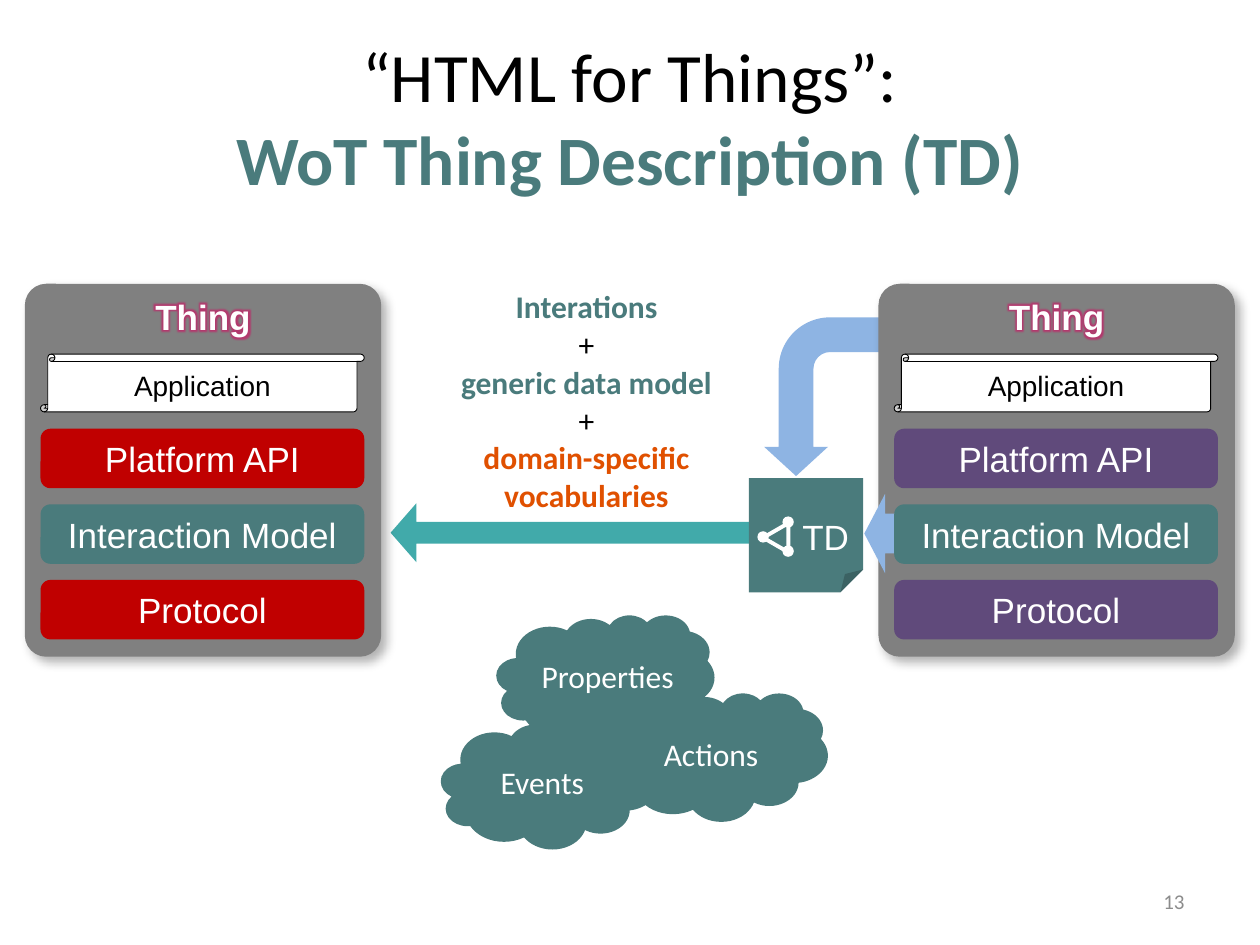
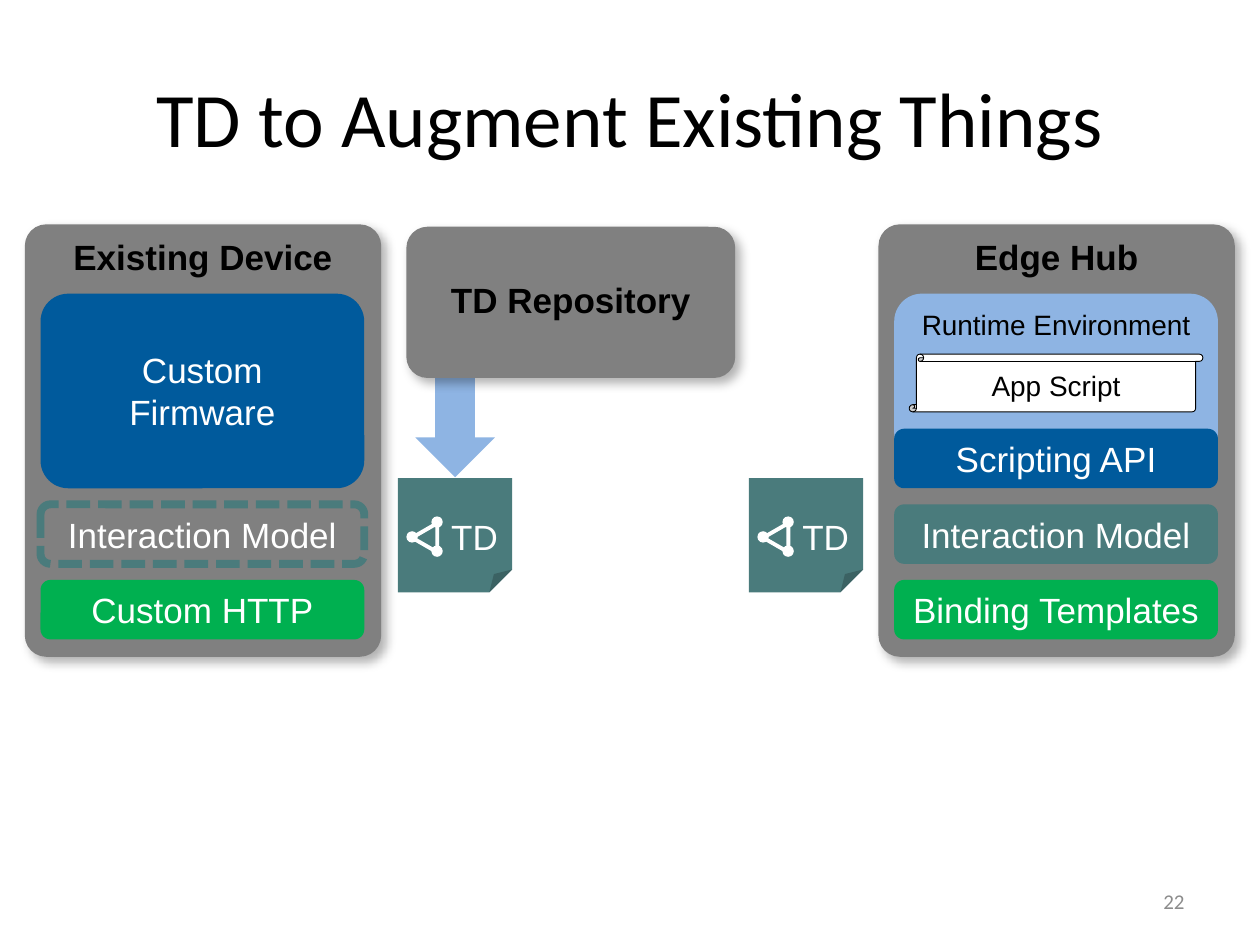
import dataclasses

import lxml.etree
import pptx
import pptx.dml.color
import pptx.enum.dml
import pptx.enum.shapes
import pptx.enum.text
import pptx.oxml.ns
import pptx.util

Pt = pptx.util.Pt
SHAPE = pptx.enum.shapes.MSO_SHAPE
ALIGN = pptx.enum.text.PP_ALIGN
ANCHOR = pptx.enum.text.MSO_ANCHOR

COLORS = {
    "black": "000000", "white": "FFFFFF", "gray": "808080", "number": "8C8C8C",
    "teal": "4A7B7C", "turquoise": "41AAAA", "sky": "8EB4E3", "red": "C00000",
    "purple": "604A7B", "green": "00B050", "blue": "005A9C", "orange": "E05000",
    "glow": "C0286A",
}

# Shared geometry of the two device columns
LEFT_DEVICE, RIGHT_DEVICE, DEVICE_WIDTH = 14.2, 502, 203.6
DEVICE_BOTTOM = 375.3
LAYER_INSET, LAYER_WIDTH, LAYER_HEIGHT = 9, 185, 34
LAYER_TOP, LAYER_STEP = 245, 43.2
SCROLL_TOP, SCROLL_HEIGHT = 202.4, 33
CARD_TOP, CARD_SIZE = 273.2, 65.3
CARD_LEFT, CARD_RIGHT = 227.4, 428
DEFAULT_INSETS = (7.2, 3.6, 7.2, 3.6)
DEVICE_INSETS = (7.2, 2.9, 7.2, 5.8)


@dataclasses.dataclass(frozen=True)
class Style:
    size: float
    font: str = "Arial"
    color: str = "white"
    bold: bool = False
    glow: bool = False


LABEL = Style(20)
SCRIPT = Style(16, color="black")
DEVICE_NAME = Style(20, color="black", bold=True)
THING_NAME = Style(20, bold=True, glow=True)
CLOUD = Style(18, "Calibri")
TITLE = Style(44, "Calibri", "black")


def rgb(name):
    return pptx.dml.color.RGBColor.from_string(COLORS[name])


def effect_list(effect, color, opacity, **attributes):
    """Effect list holding one glow or shadow; lengths are in EMU."""
    effects = lxml.etree.Element(pptx.oxml.ns.qn("a:effectLst"))
    node = lxml.etree.SubElement(effects, pptx.oxml.ns.qn("a:" + effect))
    for key, value in attributes.items():
        node.set(key, str(value))
    tint = lxml.etree.SubElement(node, pptx.oxml.ns.qn("a:srgbClr"), val=COLORS[color])
    lxml.etree.SubElement(tint, pptx.oxml.ns.qn("a:alpha"), val=str(opacity * 1000))
    return effects


# Text
def add_run(paragraph, text, style):
    for index, line in enumerate(text.split("\n")):
        if index:
            paragraph.add_line_break()
        if not line:
            continue
        run = paragraph.add_run()
        run.text = line
        font = run.font
        font.size, font.name, font.bold = Pt(style.size), style.font, style.bold
        font.color.rgb = rgb(style.color)
        if style.glow:
            fill = run._r.rPr.find(pptx.oxml.ns.qn("a:solidFill"))
            fill.addnext(effect_list("glow", "glow", 80, rad=Pt(6)))


def write(shape, paragraphs, align=ALIGN.CENTER, anchor=ANCHOR.MIDDLE,
          insets=DEFAULT_INSETS, wrap=False):
    """Fill a shape with paragraphs, each a list of (text, style) runs."""
    frame = shape.text_frame
    frame.word_wrap = wrap
    frame.vertical_anchor = anchor
    (frame.margin_left, frame.margin_top,
     frame.margin_right, frame.margin_bottom) = map(Pt, insets)
    for index, runs in enumerate(paragraphs):
        paragraph = frame.add_paragraph() if index else frame.paragraphs[0]
        paragraph.alignment = align
        for text, style in runs:
            add_run(paragraph, text, style)


def add_text(slide, box, paragraphs, **options):
    write(slide.shapes.add_textbox(*map(Pt, box)), paragraphs, **options)


def add_title(slide, runs):
    add_text(slide, (36, 21.6, 648, 90), [runs], wrap=True)


def add_slide_number(slide, number):
    style = Style(12, "Calibri", "number")
    add_text(slide, (516, 500.4, 168, 28.8), [[(number, style)]],
             align=ALIGN.RIGHT, wrap=True)


# Shapes
def adjust(shape, values):
    """Write the geometry guides, which the library lacks for folded corners."""
    guides = shape._element.spPr.find(pptx.oxml.ns.qn("a:prstGeom")).get_or_add_avLst()
    for guide in list(guides):
        guides.remove(guide)
    for index, value in enumerate(values, 1):
        name = f"adj{index}" if len(values) > 1 else "adj"
        lxml.etree.SubElement(guides, pptx.oxml.ns.qn("a:gd"), name=name,
                              fmla=f"val {round(value * 100000)}")


def add_shape(shapes, kind, box, fill=None, line=None, line_width=1,
              rotation=0, adjustments=()):
    shape = shapes.add_shape(kind, *map(Pt, box))
    shape.shadow.inherit = False
    shape.rotation = rotation
    if adjustments:
        adjust(shape, adjustments)
    if fill:
        shape.fill.solid()
        shape.fill.fore_color.rgb = rgb(fill)
    else:
        shape.fill.background()
    if line:
        shape.line.color.rgb = rgb(line)
        shape.line.width = Pt(line_width)
    else:
        shape.line.fill.background()
    return shape


def add_panel(slide, box, name, style, rounding, anchor):
    """Gray rounded panel with a soft shadow."""
    panel = add_shape(slide.shapes, SHAPE.ROUNDED_RECTANGLE, box, "gray",
                      adjustments=[rounding])
    properties = panel._element.spPr
    properties.remove(properties.find(pptx.oxml.ns.qn("a:effectLst")))
    properties.append(effect_list("outerShdw", "black", 30, blurRad=Pt(6), dist=Pt(4),
                                  dir=45 * 60000, algn="tl", rotWithShape=0))
    write(panel, [[(name, style)]], anchor=anchor, insets=DEVICE_INSETS)


def add_device(slide, left, top, name, style):
    add_panel(slide, (left, top, DEVICE_WIDTH, DEVICE_BOTTOM - top), name, style,
              0.06, ANCHOR.TOP)


def add_block(slide, device_left, top, height, text, fill, style=LABEL,
              anchor=ANCHOR.MIDDLE, **options):
    """Rounded block spanning the inside of a device."""
    box = (device_left + LAYER_INSET, top, LAYER_WIDTH, height)
    block = add_shape(slide.shapes, SHAPE.ROUNDED_RECTANGLE, box, fill, **options)
    write(block, [[(text, style)]], anchor=anchor)
    return block


def add_layer(slide, device_left, row, text, fill, **options):
    return add_block(slide, device_left, LAYER_TOP + row * LAYER_STEP, LAYER_HEIGHT,
                     text, fill, **options)


def add_scroll(slide, device_left, text, indent=0):
    box = (device_left + LAYER_INSET + indent, SCROLL_TOP,
           LAYER_WIDTH - 2 * indent, SCROLL_HEIGHT)
    scroll = add_shape(slide.shapes, SHAPE.VERTICAL_SCROLL, box, "white", "black", 0.5)
    write(scroll, [[(text, SCRIPT)]])


def add_description_card(slide, left):
    """Folded TD card with a three-node graph icon."""
    shapes = slide.shapes.add_group_shape().shapes
    card = add_shape(shapes, SHAPE.FOLDED_CORNER, (left, CARD_TOP, CARD_SIZE, CARD_SIZE),
                     "teal", adjustments=[0.2])
    write(card, [[("TD", LABEL)]], insets=(22.3, 14.4, 0, 0))
    add_shape(shapes, SHAPE.ISOSCELES_TRIANGLE, (left + 10.6, CARD_TOP + 24.8, 16.6, 14.4),
              line="white", line_width=2.25, rotation=30)
    for x, y in ((19.1, 21.9), (4.8, 30.4), (19.1, 38.5)):
        add_shape(shapes, SHAPE.OVAL, (left + x, CARD_TOP + y, 6.5, 6.5), "white")


def add_cloud(slide, left, top, text, insets=DEFAULT_INSETS):
    cloud = add_shape(slide.shapes, SHAPE.CLOUD, (left, top, 124.6, 73.4), "teal")
    write(cloud, [[(text, CLOUD)]], insets=insets)


# Slides
def build_thing_description(slide):
    # Arrows that pass behind the devices and the card
    add_shape(slide.shapes, SHAPE.BENT_ARROW, (223.2, 275.8, 238.3, 45.4), "turquoise",
              rotation=180, adjustments=[0.272, 0.37, 0.323, 0.427])
    bent = add_shape(slide.shapes, SHAPE.BENT_ARROW, (424.8, 193.2, 90.7, 67), "sky",
                     rotation=270, adjustments=[0.296, 0.273, 0.25, 0.438])
    bent._element.spPr.xfrm.set("flipH", "1")

    # Two things with the same stack
    devices = ((LEFT_DEVICE, "red"), (RIGHT_DEVICE, "purple"))
    for left, _ in devices:
        add_device(slide, left, 162.2, "Thing", THING_NAME)
        add_scroll(slide, left, "Application")
    add_shape(slide.shapes, SHAPE.DOWN_ARROW, (483.1, 293, 45.4, 23.8), "sky", rotation=90)
    add_description_card(slide, CARD_RIGHT)
    for left, color in devices:
        add_layer(slide, left, 0, "Platform API", color)
        add_layer(slide, left, 1, "Interaction Model", "teal")
        add_layer(slide, left, 2, "Protocol", color)

    # Interaction kinds
    add_cloud(slide, 252, 411.8, "Events")
    add_cloud(slide, 283.7, 351.4, "Properties", (11.5, 3.6, 0, 3.6))
    add_cloud(slide, 348.5, 396, "Actions")

    # Content of the description
    plus = Style(18, "Calibri", "black")
    term = Style(18, "Calibri", "teal", True)
    domain = Style(18, "Calibri", "orange", True)
    add_text(slide, (255.6, 159.1, 159.1, 138.2), [
        [("Interations", term)],
        [("+", plus)],
        [("generic data model", term)],
        [("+\n", plus), ("domain-specific\nvocabularies", domain)],
    ], anchor=ANCHOR.BOTTOM)

    heading = dataclasses.replace(TITLE, size=39.6)
    add_title(slide, [("“HTML for Things”:\n", heading),
                      ("WoT Thing Description (TD)",
                       dataclasses.replace(heading, color="teal", bold=True))])
    add_slide_number(slide, "13")


def build_augmented_things(slide):
    add_title(slide, [("TD to Augment Existing Things", TITLE)])

    # Existing device
    add_device(slide, LEFT_DEVICE, 128.2, "Existing Device", DEVICE_NAME)
    model = add_layer(slide, LEFT_DEVICE, 1, "Interaction Model", None,
                      line="teal", line_width=4.5)
    model.line.dash_style = pptx.enum.dml.MSO_LINE.SQUARE_DOT
    model.line._ln.prstDash.set("val", "sysDash")
    add_layer(slide, LEFT_DEVICE, 2, "Custom HTTP", "green")
    add_block(slide, LEFT_DEVICE, 167.8, 111.2, "Custom\nFirmware", "blue",
              adjustments=[0.142])

    # Edge hub
    add_device(slide, RIGHT_DEVICE, 128.2, "Edge Hub", DEVICE_NAME)
    add_block(slide, RIGHT_DEVICE, 167.8, 95, "Runtime Environment", "sky", SCRIPT,
              ANCHOR.TOP)
    for row, (text, color) in enumerate((("Scripting API", "blue"),
                                         ("Interaction Model", "teal"),
                                         ("Binding Templates", "green"))):
        add_layer(slide, RIGHT_DEVICE, row, text, color)
    add_scroll(slide, RIGHT_DEVICE, "App Script", 8.6)

    # Repository and descriptions
    add_shape(slide.shapes, SHAPE.DOWN_ARROW, (237.4, 215.8, 45.4, 56.9), "sky")
    add_panel(slide, (232.2, 129.6, 187.9, 86.4), "TD Repository", DEVICE_NAME, 0.14,
              ANCHOR.MIDDLE)
    for left in (CARD_RIGHT, CARD_LEFT):
        add_description_card(slide, left)
    add_slide_number(slide, "22")


def main():
    presentation = pptx.Presentation()
    presentation.slide_width, presentation.slide_height = Pt(720), Pt(540)
    blank = presentation.slide_layouts[6]
    for build in (build_thing_description, build_augmented_things):
        build(presentation.slides.add_slide(blank))
    presentation.save("out.pptx")


if __name__ == "__main__":
    main()
